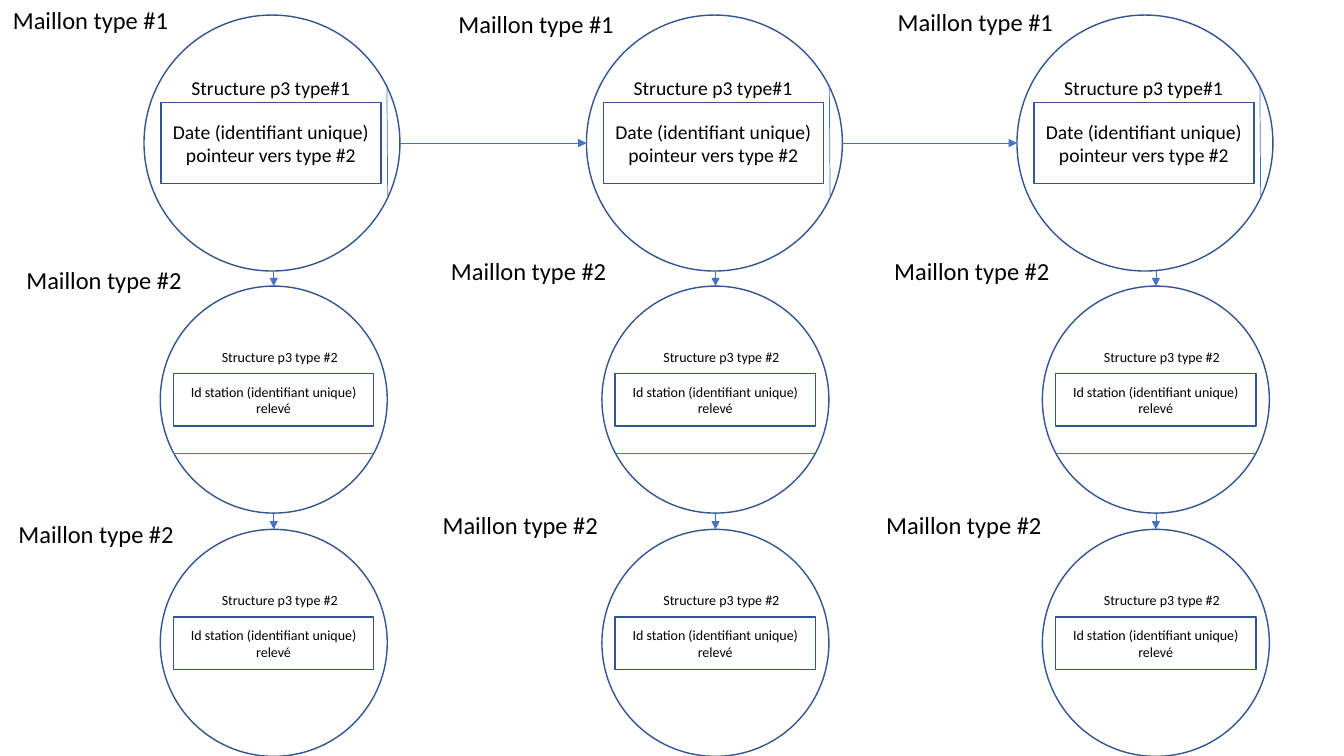
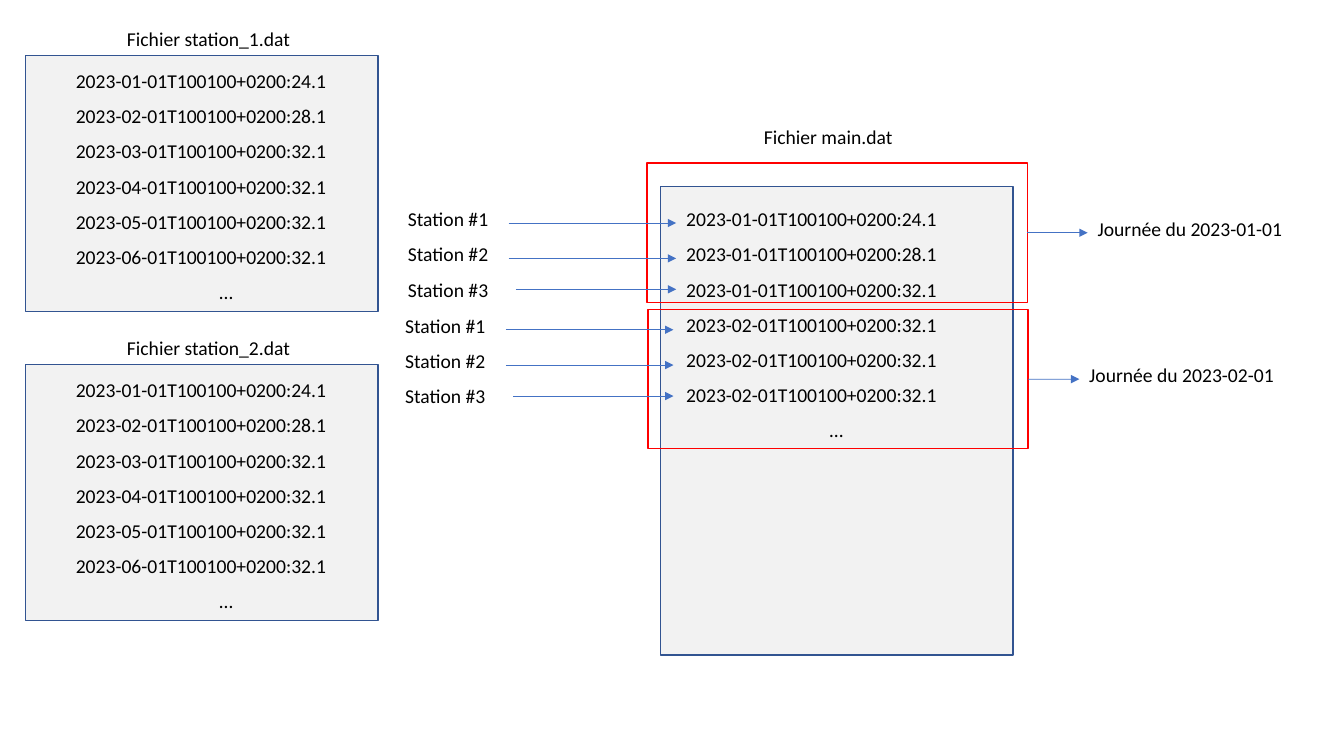
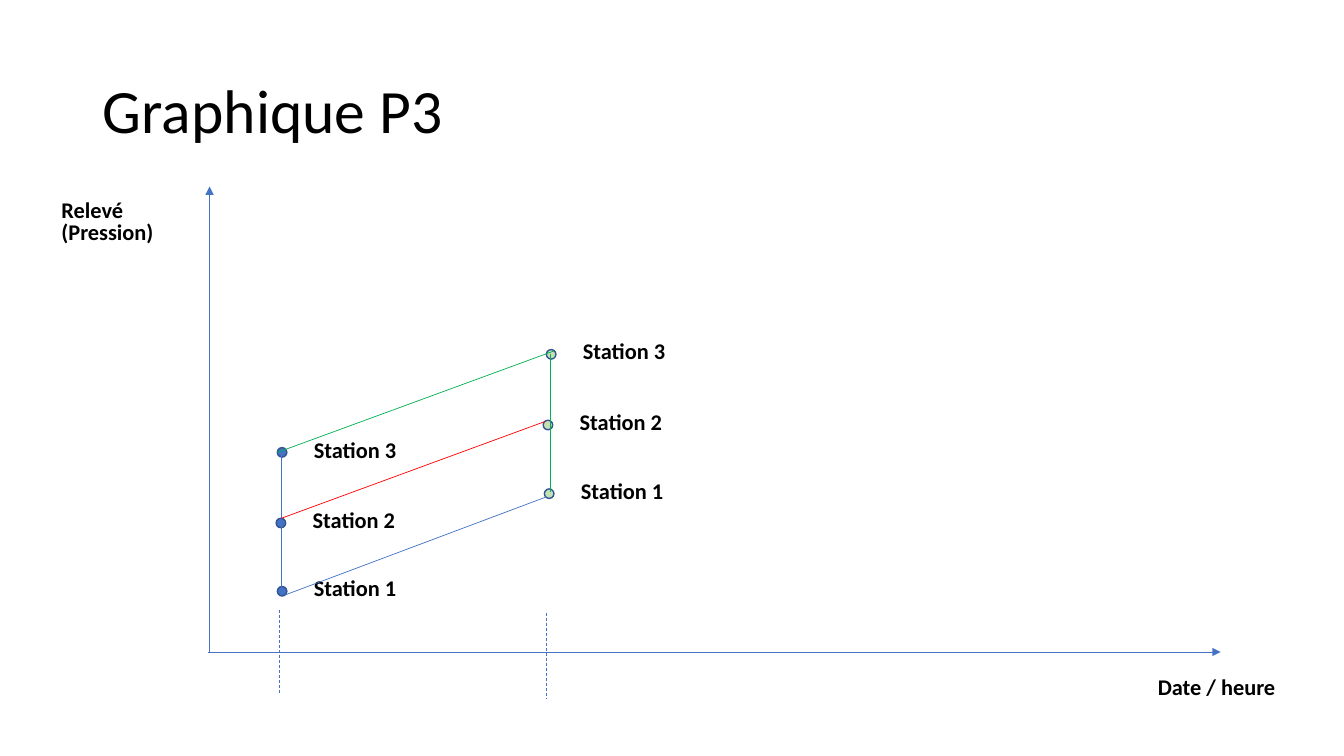
"""Build three slides on linked stations, data files and the pressure graph."""
from lxml import etree
from pptx import Presentation
from pptx import util as u
from pptx.dml.color import RGBColor
from pptx.enum import dml, shapes, text
from pptx.oxml import ns

COLOURS = {"ink": "000000", "outline": "325491", "link": "4472C4", "paper": "F2F2F2",
           "red": "FF0000", "green": "00B050", "pale": "C5E0B4"}
FORMATS = {
    "title": {"size": u.Pt(44)},
    "caption": {"size": u.Pt(17.5)},
    "label": {"size": u.Pt(14)},
    "small": {"size": u.Pt(10)},
    "axis": {"size": u.Pt(16), "bold": True},
}
LEFT, CENTRE = text.PP_ALIGN.LEFT, text.PP_ALIGN.CENTER
DATE_LINES = ["Date (identifiant unique)", "pointeur vers type #2"]
STATION_LINES = ["Id station (identifiant unique)", "relevé"]


def rgb(name):
    """Return the named colour."""
    return RGBColor.from_string(COLOURS[name])


def lengths(values):
    """Turn centimetre values into lengths."""
    return [u.Cm(value) for value in values]


def write(holder, lines, style, align=LEFT, spacing=0.9, gap=10, anchor=text.MSO_ANCHOR.TOP):
    """Fill a shape with evenly spaced paragraphs in one style."""
    frame = holder.text_frame
    frame_format = {"word_wrap": True, "auto_size": text.MSO_AUTO_SIZE.NONE,
                    "vertical_anchor": anchor}
    for key, value in frame_format.items():
        setattr(frame, key, value)
    for index, line in enumerate(lines):
        paragraph = frame.add_paragraph() if index else frame.paragraphs[0]
        paragraph_format = {"alignment": CENTRE if line == "…" else align,
                            "line_spacing": spacing,
                            "space_before": u.Pt(gap if index else 0)}
        for key, value in paragraph_format.items():
            setattr(paragraph, key, value)
        if holder.is_placeholder:
            properties = paragraph._p.get_or_add_pPr()
            properties.set("marL", "0")
            properties.set("indent", "0")
            etree.SubElement(properties, ns.qn("a:buNone"))
        run = paragraph.add_run()
        run.text = line
        for key, value in {"name": "Calibri", **FORMATS[style]}.items():
            setattr(run.font, key, value)
        run.font.color.rgb = rgb("ink")


def add_text(slide, box, lines, style, holder=None, **layout):
    """Write lines in a new text box or in a given placeholder, placed at box."""
    holder = holder or slide.shapes.add_textbox(0, 0, 0, 0)
    for side, value in zip(("left", "top", "width", "height"), lengths(box)):
        setattr(holder, side, value)
    write(holder, lines, style, **layout)
    return holder


def add_outline(slide, kind, box, line="outline", fill=None):
    """Draw an outlined shape, filled only when a fill is named."""
    outline = slide.shapes.add_shape(kind, *lengths(box))
    outline.shadow.inherit = False
    outline.line.color.rgb = rgb(line)
    outline.line.width = u.Pt(1)
    if fill:
        outline.fill.solid()
        outline.fill.fore_color.rgb = rgb(fill)
    else:
        outline.fill.background()
    return outline


def add_line(slide, ends, colour="link", arrow=False, dashed=False):
    """Draw a thin straight line, with an arrowhead or dashes if asked."""
    line = slide.shapes.add_connector(shapes.MSO_CONNECTOR.STRAIGHT, *lengths(ends))
    line.line.color.rgb = rgb(colour)
    line.line.width = u.Pt(0.5)
    if dashed:
        line.line.dash_style = dml.MSO_LINE.DASH
    properties = line.element.spPr
    if arrow:
        etree.SubElement(properties.find(ns.qn("a:ln")), ns.qn("a:tailEnd"), type="triangle")
    etree.SubElement(properties, ns.qn("a:effectLst"))
    return line


def add_body_slide(deck):
    """Add a slide that keeps only its body placeholder."""
    slide = deck.slides.add_slide(deck.slide_layouts[1])
    title = slide.shapes.title.element
    title.getparent().remove(title)
    return slide, slide.placeholders[1]


def date_node(slide, x, y, size, holder=None):
    """Draw a type 1 node in the square at x, y."""
    date_box = add_outline(slide, shapes.MSO_SHAPE.RECTANGLE, (x + 0.43, y + 2.21, 5.54, 2.03))
    write(date_box, DATE_LINES, "label", CENTRE, 1, 0, text.MSO_ANCHOR.MIDDLE)
    add_text(slide, (x + 0.94, y + 1.47, 5.74, 0.89), ["Structure p3 type#1"], "label", holder)
    add_outline(slide, shapes.MSO_SHAPE.OVAL, (x, y, size, size))
    add_line(slide, (x + 6.12, y + 1.75, x + 6.14, y + 4.55))


def station_node(slide, x, y, size):
    """Draw a type 2 node in the square at x, y."""
    station_box = add_outline(slide, shapes.MSO_SHAPE.RECTANGLE, (x + 0.33, y + 2.21, 5.05, 1.32))
    write(station_box, STATION_LINES, "small", CENTRE, 1, 0, text.MSO_ANCHOR.MIDDLE)
    add_text(slide, (x + 1.3, y + 1.5, 3.56, 0.89), ["Structure p3 type #2"], "small")
    add_outline(slide, shapes.MSO_SHAPE.OVAL, (x, y, size, size))


def chain_slide(deck):
    """Build the grid of linked nodes."""
    slide, body = add_body_slide(deck)
    date_size, station_size = 6.45, 5.72
    date_top, station_tops = 0.38, (7.21, 13.34)
    columns = [
        (3.63, 4.04, [(0, 0.2), (0.2, 6.76), (0, 13.16)]),
        (14.78, 15.17, [(11.23, 0.3), (10.9, 6.53), (10.69, 12.93)]),
        (25.63, 26.27, [(22.3, 0.25), (22.07, 6.53), (21.87, 12.93)]),
    ]
    for index, (date_x, station_x, captions) in enumerate(columns):
        date_node(slide, date_x, date_top, date_size, None if index else body)
        centre = station_x + station_size / 2
        bottom = date_top + date_size
        for station_top in station_tops:
            station_node(slide, station_x, station_top, station_size)
            add_line(slide, (centre, bottom, centre, station_top), arrow=True)
            bottom = station_top + station_size
        first_top = station_tops[0]
        add_line(slide, (station_x + 0.33, first_top + 4.22, station_x + 5.38, first_top + 4.22))
        for (x, y), kind, width in zip(captions, (1, 2, 2), (4.57, 4.85, 4.85)):
            add_text(slide, (x, y, width, 1.45), [f"Maillon type #{kind}"], "caption",
                     align=CENTRE, spacing=0.7)
    middle = date_top + date_size / 2
    for (start, *_), (end, *_) in zip(columns, columns[1:]):
        add_line(slide, (start + date_size, middle, end, middle), arrow=True)


def data_file(slide, box, name, readings, name_offset, list_offset, holder=None):
    """Draw a data file with its name above and its readings inside box."""
    x, y = box[:2]
    add_outline(slide, shapes.MSO_SHAPE.RECTANGLE, box, fill="paper")
    if holder:
        holder.element.getparent().append(holder.element)
    add_text(slide, (x + list_offset[0], y + list_offset[1], 8.08, 8.43),
             readings + ["…"], "label", holder)
    add_text(slide, (x + name_offset[0], y + name_offset[1], 4.78, 0.91),
             [f"Fichier {name}.dat"], "label")


def day_frame(slide, box, day, label_x):
    """Frame the readings of one day and point to its label."""
    x, y, width, height = box
    frame = add_outline(slide, shapes.MSO_SHAPE.RECTANGLE, box, "red")
    middle = y + height / 2
    label = add_text(slide, (label_x, middle - 0.46, 5.46, 0.92), [f"Journée du {day}"], "label")
    pointer = add_line(slide, (x + width, middle, label_x, middle), arrow=True)
    pointer.begin_connect(frame, 3)
    pointer.end_connect(label, 1)


def station_pointers(slide, x, y):
    """List three stations with arrows towards their readings."""
    add_text(slide, (x, y, 3.28, 0.91), [f"Station #{n}" for n in (1, 2, 3)], "label")
    for start, drop in ((2.79, 0.46), (2.79, 1.35), (2.97, 2.13)):
        add_line(slide, (x + start, y + drop, x + 7.01, y + drop), arrow=True)


def files_slide(deck):
    """Build the main file and the two station files."""
    slide, body = add_body_slide(deck)
    values = ("24.1", "28.1", "32.1", "32.1", "32.1", "32.1")
    daily = [f"2023-0{1 + n // 3}-01T100100+0200:{value}" for n, value in enumerate(values)]
    monthly = [f"2023-0{n}-01T100100+0200:{value}" for n, value in enumerate(values, 1)]
    data_file(slide, (16.64, 4.7, 8.89, 11.81), "main", daily, (2.36, -1.6), (0.4, 0.46), body)
    day_frame(slide, (16.33, 7.8, 9.58, 3.51), "2023-02-01", 27.2)
    day_frame(slide, (16.31, 4.11, 9.58, 3.51), "2023-01-01", 27.41)
    station_pointers(slide, 10.03, 5.16)
    station_pointers(slide, 9.96, 7.85)
    for number, top in ((1, 1.4), (2, 9.19)):
        data_file(slide, (0.64, top, 8.89, 6.45), f"station_{number}", monthly,
                  (2.31, -0.79), (1.02, 0.28))


def axes(slide, x, y, width, height):
    """Draw both axes from the origin at the lower left of the box."""
    base = y + height
    add_line(slide, (x - 0.05, base, x + width, base), arrow=True)
    add_line(slide, (x, base, x, y), arrow=True)
    add_text(slide, (x + 23.65, base + 0.49, 3.68, 1.45), ["Date / heure"], "axis")
    add_text(slide, (x - 3.98, y + 0.25, 3.68, 1.45), ["Relevé (Pression)"], "axis", spacing=0.8)


def readings_at_date(slide, dots, fill, date_mark):
    """Draw the three station dots of one date and its dashed mark."""
    for number, (x, y) in enumerate(dots, 1):
        add_text(slide, (x + 0.67, y - 0.35, 3.68, 1.45), [f"Station {number}"], "axis")
        add_outline(slide, shapes.MSO_SHAPE.OVAL, (x, y, 0.24, 0.24), fill=fill)
    add_line(slide, date_mark, dashed=True)


def graph_slide(deck):
    """Build the pressure graph."""
    slide = deck.slides.add_slide(deck.slide_layouts[5])
    add_text(slide, (2.34, 1.02, 29.21, 3.68), ["Graphique P3"], "title", slide.shapes.title,
             anchor=text.MSO_ANCHOR.MIDDLE)
    axes(slide, 5.28, 4.7, 25.48, 11.73)
    readings_at_date(slide, [(6.99, 14.78), (6.96, 13.06), (6.99, 11.28)], "link",
                     (7.04, 15.37, 7.04, 17.5))
    readings_at_date(slide, [(13.72, 12.32), (13.69, 10.59), (13.77, 8.81)], "pale",
                     (13.77, 15.44, 13.77, 17.6))
    trends = [
        ((7.09, 11.4, 7.09, 14.86), "link"),
        ((13.87, 8.92, 13.87, 12.4), "green"),
        ((7.19, 14.99, 13.77, 12.52), "link"),
        ((7.09, 13.06, 13.74, 10.62), "red"),
        ((6.99, 11.4, 13.97, 8.84), "green"),
    ]
    for ends, colour in trends:
        add_line(slide, ends, colour)


def main():
    """Build and save the deck."""
    deck = Presentation()
    deck.slide_width, deck.slide_height = lengths((33.87, 19.05))
    for build in (chain_slide, files_slide, graph_slide):
        build(deck)
    deck.save("out.pptx")


if __name__ == "__main__":
    main()
